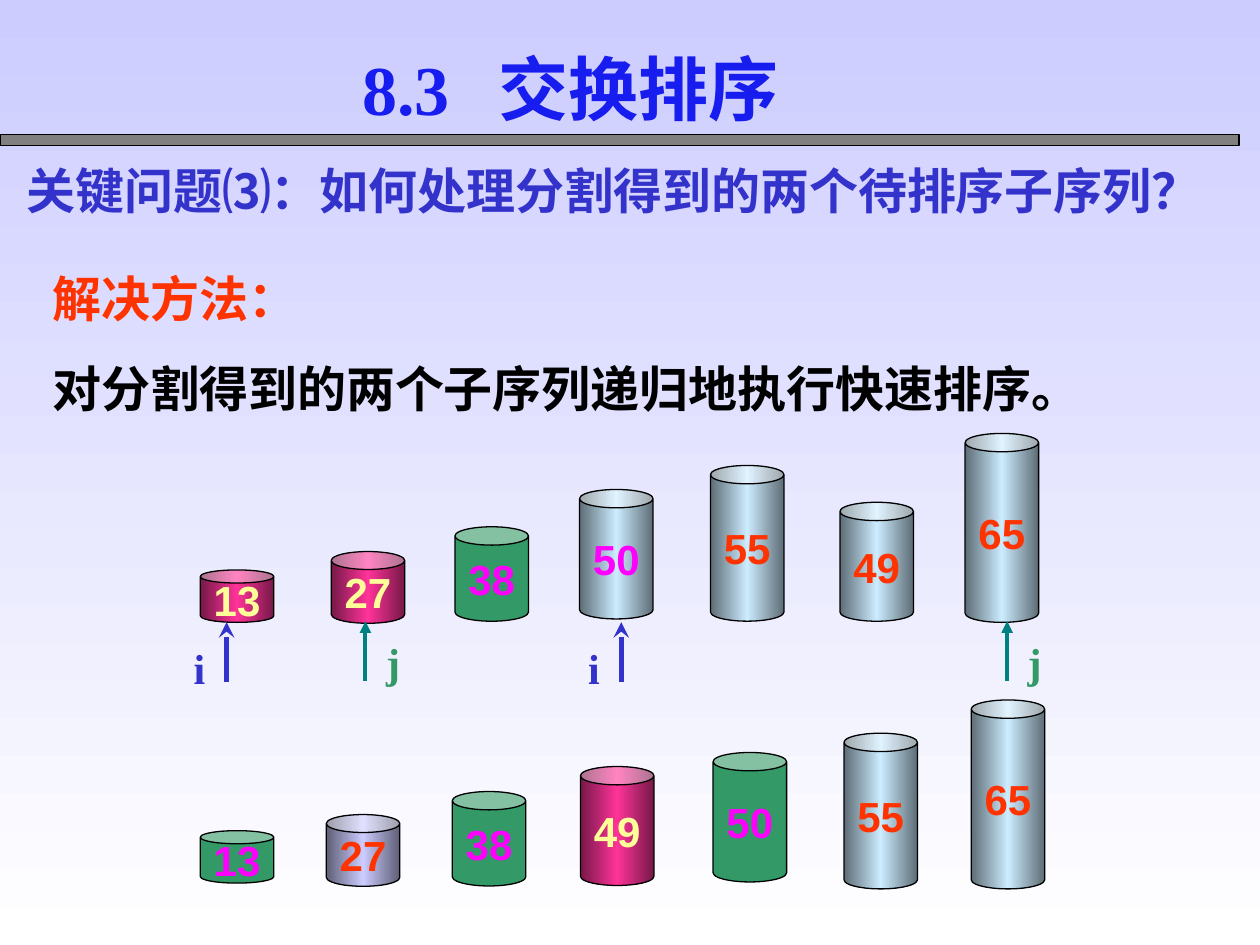
from lxml import etree
from pptx import Presentation
from pptx.dml.color import RGBColor
from pptx.enum.shapes import MSO_CONNECTOR, MSO_SHAPE
from pptx.enum.text import MSO_ANCHOR, PP_ALIGN
from pptx.oxml import parse_xml
from pptx.oxml.ns import nsdecls, qn
from pptx.util import Pt

CAN, RECTANGLE = MSO_SHAPE.CAN, MSO_SHAPE.RECTANGLE
STRAIGHT = MSO_CONNECTOR.STRAIGHT
CENTER, LEFT = PP_ALIGN.CENTER, PP_ALIGN.LEFT
MIDDLE = MSO_ANCHOR.MIDDLE

THEME = {
    "background": ("CCCCFF", "FFFFFF"),
    "title": "171CEF", "question": "3333CC", "answer": "FF3300", "body": "000000",
    "rule": "808080", "outline": "000000", "title_shadow": "808080",
    "serif": "Times New Roman", "sans": "Arial", "chinese": "Noto Sans CJK SC",
    "title_size": 40, "text_size": 28, "label_size": 24,
}
CAN_STYLES = {
    "pink": (("761847", "FF3399", "761847"), "FFFF99"),
    "green": (("339966",), "FF00FF"),
    "steel": (("5E6D76", "CCECFF", "5E6D76"), "FF3300"),
    "pivot": (("5E6D76", "CCECFF", "5E6D76"), "FF00FF"),
    "lavender": (("5E5E76", "CCCCFF", "5E5E76"), "FF3300"),
}
CAN_WIDTH = 42
CAN_HEIGHTS = {13: 30, 27: 41, 38: 54, 49: 68, 50: 74, 55: 89, 65: 108}
CANS = [
    (13, "pink", 114.5, 355.7), (27, "pink", 189.3, 356.2),
    (38, "green", 260, 355), (50, "pivot", 331.2, 353.7),
    (55, "steel", 406, 355), (49, "steel", 480, 355), (65, "steel", 551.5, 355.7),
    (13, "green", 114.5, 504.7), (27, "lavender", 186.5, 506.5),
    (38, "green", 258.5, 506.3), (49, "pink", 331.7, 506),
    (50, "green", 407.5, 504), (55, "steel", 482.3, 508), (65, "steel", 555, 508),
]
POINTER_STYLES = {
    "i": {"color": "3333CC", "line": "3333CC", "width": 3, "head": "stealth",
          "tip": 355.5, "label_dx": -26, "label_top": 363.7},
    "j": {"color": "339966", "line": "008080", "width": 2.25, "head": "triangle",
          "tip": 355, "label_dx": 4.7, "label_top": 360},
}
POINTER_LENGTH = 34
POINTERS = [("i", 129.5), ("j", 208.8), ("i", 355), ("j", 575.5)]

TITLE = "8.3\t交换排序"
TITLE_TAB = 78
QUESTION = "关键问题⑶：如何处理分割得到的两个待排序子序列？"
ANSWER = [("解决方法：", THEME["answer"]),
          ("对分割得到的两个子序列递归地执行快速排序。", THEME["body"])]
ANSWER_GAP = 17.5


def rgb(color):
    return RGBColor.from_string(color)


def style_paragraph(paragraph, text, size, latin, color, align=LEFT):
    paragraph.text = text
    paragraph.alignment = align
    font = paragraph.font
    font.size, font.bold, font.name = Pt(size), True, latin
    font.color.rgb = rgb(color)
    properties = paragraph._p.pPr.find(qn("a:defRPr"))
    etree.SubElement(properties, qn("a:ea")).set("typeface", THEME["chinese"])
    return properties


def add_text(slide, box, lines, size, latin):
    shape = slide.shapes.add_textbox(*map(Pt, box))
    frame = shape.text_frame
    frame.word_wrap = True
    for index, (text, color) in enumerate(lines):
        paragraph = frame.add_paragraph() if index else frame.paragraphs[0]
        if index:
            paragraph.space_before = Pt(ANSWER_GAP)
        style_paragraph(paragraph, text, size, latin, color)
    return frame


def add_title(slide):
    frame = add_text(slide, (200, 22.3, 284, 55.5), [], THEME["title_size"], THEME["serif"])
    paragraph = frame.paragraphs[0]
    paragraph._p.get_or_add_pPr().append(parse_xml(
        f'<a:tabLst {nsdecls("a")}><a:tab pos="{Pt(TITLE_TAB)}" algn="l"/></a:tabLst>'))
    properties = style_paragraph(paragraph, TITLE, THEME["title_size"],
                                 THEME["serif"], THEME["title"])
    properties.find(qn("a:solidFill")).addnext(parse_xml(
        f'<a:effectLst {nsdecls("a")}><a:outerShdw dist="{Pt(2)}" dir="2700000">'
        f'<a:srgbClr val="{THEME["title_shadow"]}"/></a:outerShdw></a:effectLst>'))


def add_solid(slide, kind, box, colors):
    shape = slide.shapes.add_shape(kind, *map(Pt, box))
    shape.shadow.inherit = False
    shape.line.color.rgb = rgb(THEME["outline"])
    shape.line.width = Pt(0.75)
    if len(colors) == 1:
        shape.fill.solid()
        shape.fill.fore_color.rgb = rgb(colors[0])
    else:
        shape.fill.gradient()
        shape.fill.gradient_angle = 0
        stops = shape._element.spPr.find(qn("a:gradFill")).find(qn("a:gsLst"))
        for stop in list(stops):
            stops.remove(stop)
        for index, color in enumerate(colors):
            position = 100000 * index // (len(colors) - 1)
            stops.append(parse_xml(f'<a:gs {nsdecls("a")} pos="{position}">'
                                   f'<a:srgbClr val="{color}"/></a:gs>'))
    return shape


def add_can(slide, value, style, left, bottom):
    colors, text_color = CAN_STYLES[style]
    height = CAN_HEIGHTS[value]
    shape = add_solid(slide, CAN, (left, bottom - height, CAN_WIDTH, height), colors)
    shape.adjustments[0] = 0.25
    frame = shape.text_frame
    frame.word_wrap = False
    frame.vertical_anchor = MIDDLE
    style_paragraph(frame.paragraphs[0], str(value), THEME["label_size"],
                    THEME["sans"], text_color, CENTER)


def add_pointer(slide, name, x):
    style = POINTER_STYLES[name]
    tip = style["tip"]
    arrow = slide.shapes.add_connector(STRAIGHT, Pt(x), Pt(tip + POINTER_LENGTH), Pt(x), Pt(tip))
    arrow.line.color.rgb = rgb(style["line"])
    arrow.line.width = Pt(style["width"])
    etree.SubElement(arrow.line._get_or_add_ln(), qn("a:tailEnd")).set("type", style["head"])
    etree.SubElement(arrow._element.spPr, qn("a:effectLst"))
    add_text(slide, (x + style["label_dx"], style["label_top"], 18, 36),
             [(name, style["color"])], THEME["label_size"], THEME["serif"])


def main():
    presentation = Presentation()
    presentation.slide_width, presentation.slide_height = Pt(720), Pt(540)
    slide = presentation.slides.add_slide(presentation.slide_layouts[6])
    fill = slide.background.fill
    fill.gradient()
    fill.gradient_angle = 270
    for stop, position, color in zip(fill.gradient_stops, (0, 1), THEME["background"]):
        stop.position = position
        stop.color.rgb = rgb(color)

    add_solid(slide, RECTANGLE, (0, 77, 708, 6), (THEME["rule"],))
    add_text(slide, (23, 150, 670, 92), ANSWER, THEME["text_size"], THEME["chinese"])
    add_text(slide, (8, 88, 692, 41), [(QUESTION, THEME["question"])],
             THEME["text_size"], THEME["chinese"])
    for can in CANS:
        add_can(slide, *can)
    for pointer in POINTERS:
        add_pointer(slide, *pointer)
    add_title(slide)
    presentation.save("out.pptx")


if __name__ == "__main__":
    main()
